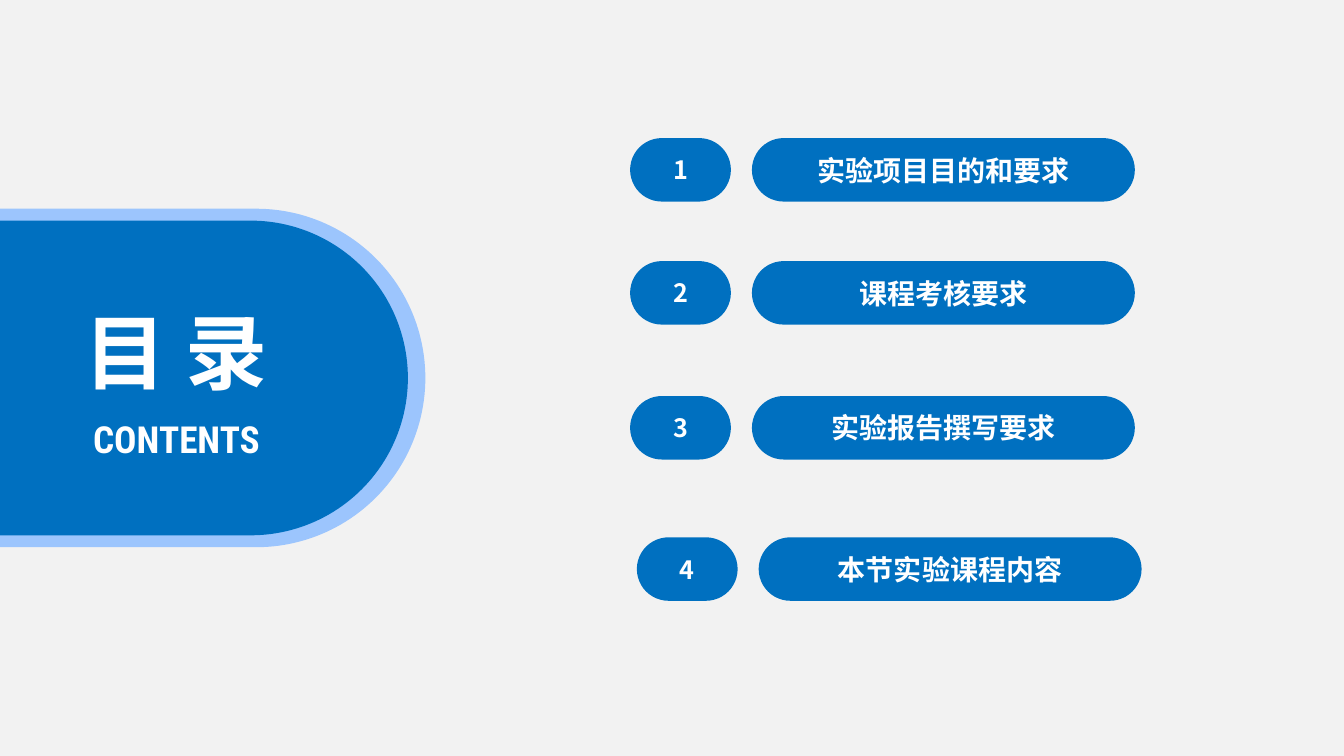
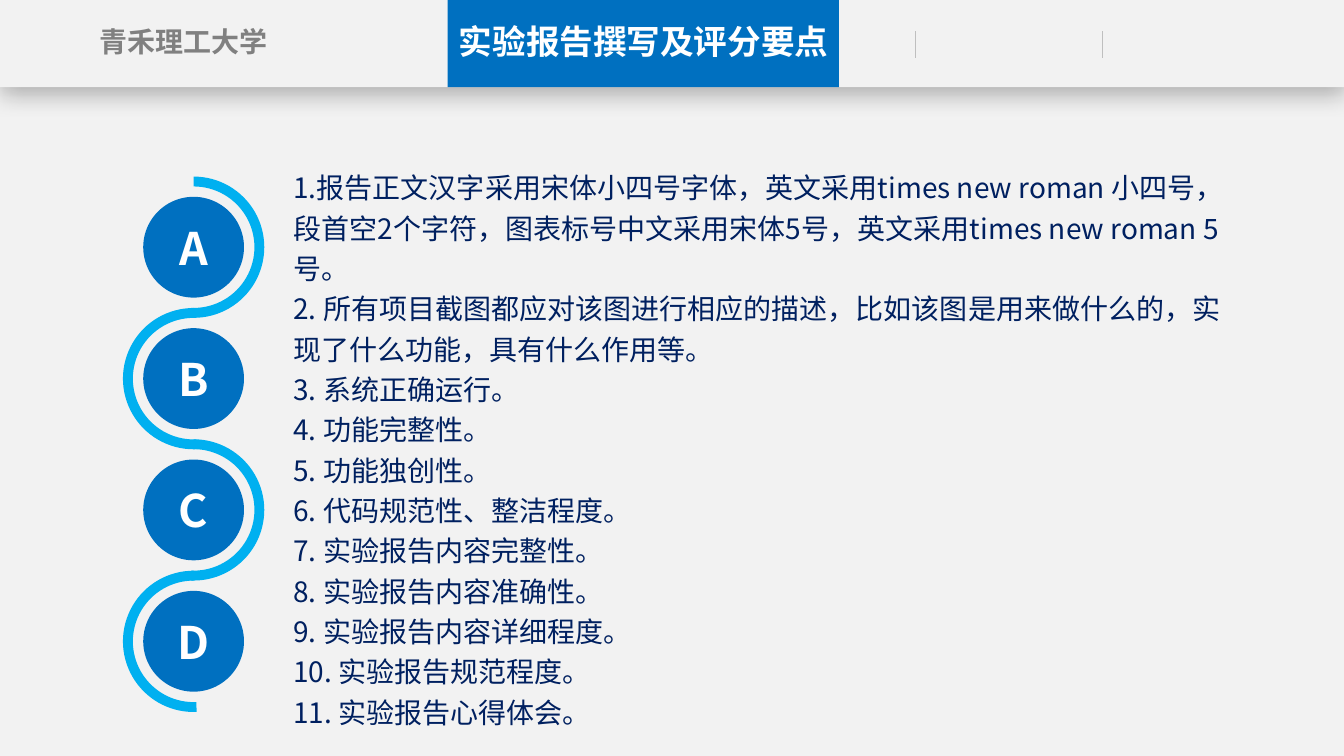
from lxml import etree
from pptx import Presentation
from pptx.dml.color import RGBColor
from pptx.enum.shapes import MSO_CONNECTOR, MSO_SHAPE
from pptx.enum.text import MSO_ANCHOR, MSO_AUTO_SIZE, PP_ALIGN
from pptx.oxml.ns import qn
from pptx.util import Cm, Pt

PILL = MSO_SHAPE.ROUNDED_RECTANGLE
RECTANGLE = MSO_SHAPE.RECTANGLE
OVAL = MSO_SHAPE.OVAL
ARC = MSO_SHAPE.BLOCK_ARC
STRAIGHT = MSO_CONNECTOR.STRAIGHT
CENTER = PP_ALIGN.CENTER
LEFT = PP_ALIGN.LEFT
MIDDLE = MSO_ANCHOR.MIDDLE
TOP = MSO_ANCHOR.TOP
NO_AUTOFIT = MSO_AUTO_SIZE.NONE

SLIDE_WIDTH, SLIDE_HEIGHT = 33.87, 19.05
TITLE_ONLY, TITLE_AND_CONTENT = 5, 1
BLUE, PALE_BLUE, SKY, NAVY = "0070C0", "9CC5FD", "00B0F0", "002060"
WHITE, PAPER, GRAY, RULE_GRAY = "FFFFFF", "F2F2F2", "808080", "BFBFBF"
CJK_FONT, LATIN_FONT = "Noto Sans CJK SC", "Roboto Condensed"

LABEL_FRAME = {"word_wrap": True, "auto_size": NO_AUTOFIT, "vertical_anchor": MIDDLE}
LINE_FRAME = LABEL_FRAME | {"word_wrap": False}
HEADER_FRAME = LABEL_FRAME | {"margin_left": 0, "margin_right": 0}
BODY_FRAME = LABEL_FRAME | {"vertical_anchor": TOP}
CENTERED = {"alignment": CENTER}
BODY_PARAGRAPH = {
    "alignment": LEFT, "level": 1, "line_spacing": Pt(28.8),
    "space_before": Pt(0), "space_after": Pt(0),
}

CONTENTS = [
    (15.88, 3.48, "实验项目目的和要求"),
    (15.88, 6.58, "课程考核要求"),
    (15.88, 9.98, "实验报告撰写要求"),
    (16.05, 13.54, "本节实验课程内容"),
]
REQUIREMENTS = [
    "1.报告正文汉字采用宋体小四号字体，英文采用times new roman 小四号，"
    "段首空2个字符，图表标号中文采用宋体5号，英文采用times new roman 5号。",
    "2. 所有项目截图都应对该图进行相应的描述，比如该图是用来做什么的，"
    "实现了什么功能，具有什么作用等。",
    "3. 系统正确运行。",
    "4. 功能完整性。",
    "5. 功能独创性。",
    "6. 代码规范性、整洁程度。",
    "7. 实验报告内容完整性。",
    "8. 实验报告内容准确性。",
    "9. 实验报告内容详细程度。",
    "10. 实验报告规范程度。",
    "11. 实验报告心得体会。",
]


def color(hex_value):
    """Turn a hex string into a colour."""
    return RGBColor.from_string(hex_value)


def apply_format(target, values):
    """Set every attribute named in a dict of format values."""
    for name, value in values.items():
        setattr(target, name, value)


def write(shape, lines, size, hex_value, bold=True, font=CJK_FONT,
          frame=LABEL_FRAME, layout=CENTERED):
    """Fill a shape with formatted paragraphs."""
    text_frame = shape.text_frame
    text_frame.text = "\n".join(lines)
    apply_format(text_frame, frame)
    for paragraph in text_frame.paragraphs:
        apply_format(paragraph, layout)
        for run in paragraph.runs:
            apply_format(run.font, {"size": Pt(size), "bold": bold, "name": font})
            run.font.color.rgb = color(hex_value)
            east_asian = etree.SubElement(run.font._element, qn("a:ea"))
            east_asian.set("typeface", font)


def place(shape, left, top, width, height):
    """Move and size a shape in centimetres, in front of the others."""
    box = {"left": left, "top": top, "width": width, "height": height}
    apply_format(shape, {name: Cm(value) for name, value in box.items()})
    shape.element.getparent().append(shape.element)


def add_block(slide, kind, box, fill, adjustments=()):
    """Add a flat filled preset shape."""
    shape = slide.shapes.add_shape(kind, *map(Cm, box))
    shape.shadow.inherit = False
    shape.fill.solid()
    shape.fill.fore_color.rgb = color(fill)
    shape.line.fill.background()
    for index, value in enumerate(adjustments):
        shape.adjustments[index] = value
    return shape


def add_soft_shadow(shape):
    """Cast a soft black shadow below a shape."""
    effects = shape.element.spPr.find(qn("a:effectLst"))
    shadow = etree.SubElement(effects, qn("a:outerShdw"), blurRad=str(Pt(18)),
                              dist=str(Pt(4)), dir="5400000", algn="t", rotWithShape="0")
    black = etree.SubElement(shadow, qn("a:srgbClr"), val="000000")
    etree.SubElement(black, qn("a:alpha"), val="29000")


def add_divider(slide, x, top, height):
    """Add a thin vertical rule."""
    line = slide.shapes.add_connector(STRAIGHT, Cm(x), Cm(top), Cm(x), Cm(top + height))
    line.line.color.rgb = color(RULE_GRAY)
    line.line.width = Pt(0.5)
    etree.SubElement(line.element.spPr, qn("a:effectLst"))


def add_contents_badge(slide, left, top, width, height):
    """Draw the rounded badge that carries the contents title."""
    add_block(slide, PILL, (left, top, width, height), PALE_BLUE, [0.5])
    add_block(slide, PILL, (left + 0.66, top + 0.3, width - 1.1, height - 0.6), BLUE, [0.5])
    caption = slide.shapes.add_textbox(Cm(left + 6.56), Cm(top + 5.1), Cm(5.74), Cm(1.4))
    write(caption, ["CONTENTS"], 26.6, WHITE, font=LATIN_FONT, frame=LINE_FRAME)
    title = slide.shapes.title
    place(title, left + 6.76, top + 2.18, 5.3, 2.77)
    write(title, ["目 录"], 58.6, WHITE, frame=LINE_FRAME)


def add_contents_row(slide, left, top, number, label):
    """Draw a numbered pill and its topic pill."""
    for offset, width, text, size in ((0, 2.54, str(number), 18), (3.07, 9.65, label, 20)):
        pill = add_block(slide, PILL, (left + offset, top, width, 1.6), BLUE, [0.5])
        write(pill, [text], size, WHITE)


def add_header(slide, title_text, height):
    """Draw the top band with its school name, rules and title tab."""
    add_soft_shadow(add_block(slide, RECTANGLE, (0, 0, SLIDE_WIDTH, height), PAPER))
    for x in (23.06, 27.79):
        add_divider(slide, x, 0.79, 0.68)
    school = slide.shapes.add_textbox(Cm(1.88), Cm(0.48), Cm(5.49), Cm(1.12))
    write(school, ["青禾理工大学"], 20, GRAY, frame=HEADER_FRAME)
    add_block(slide, RECTANGLE, (11.28, 0, 9.86, height), BLUE)
    title = slide.shapes.title
    place(title, 11.56, 0.38, 9.32, 1.3)
    write(title, [title_text], 24, WHITE, frame=HEADER_FRAME)


def add_letter_chain(slide, left, top, letters):
    """Draw lettered discs wound by alternating half rings."""
    pitch, ring, disc = 3.31, 3.56, 2.54
    inset = (ring - disc) / 2
    sides = ((90, [108, 1.5, 0.07]), (270, [106.5, 0, 0.07]))
    for index, letter in enumerate(letters):
        y = top + index * pitch
        rotation, adjustments = sides[index % 2]
        arc = add_block(slide, ARC, (left, y, ring, ring), SKY, adjustments)
        arc.rotation = rotation
        circle = add_block(slide, OVAL, (left + inset, y + inset, disc, disc), BLUE)
        write(circle, [letter], 32, WHITE)


def add_requirements(slide, left, top, width, height):
    """Place the requirement list in the body placeholder."""
    body = slide.placeholders[1]
    place(body, left, top, width, height)
    write(body, REQUIREMENTS, 20, NAVY, bold=False, frame=BODY_FRAME, layout=BODY_PARAGRAPH)
    for paragraph in body.text_frame.paragraphs:
        properties = paragraph._p.get_or_add_pPr()
        properties.set("marL", str(Cm(1.27)))
        properties.set("indent", "0")
        etree.SubElement(properties, qn("a:buNone"))


def build_contents(presentation):
    """Build the contents slide."""
    slide = presentation.slides.add_slide(presentation.slide_layouts[TITLE_ONLY])
    add_contents_badge(slide, -4.98, 5.26, 15.7, 8.53)
    for number, (left, top, label) in enumerate(CONTENTS, 1):
        add_contents_row(slide, left, top, number, label)


def build_requirements(presentation):
    """Build the report requirements slide."""
    slide = presentation.slides.add_slide(presentation.slide_layouts[TITLE_AND_CONTENT])
    add_letter_chain(slide, 3.1, 4.45, "ABCD")
    add_header(slide, "实验报告撰写及评分要点", 2.2)
    add_requirements(slide, 5.87, 4.01, 25.5, 14.53)


def main():
    """Create and save the presentation."""
    presentation = Presentation()
    presentation.slide_width = Cm(SLIDE_WIDTH)
    presentation.slide_height = Cm(SLIDE_HEIGHT)
    background = presentation.slide_master.background.fill
    background.solid()
    background.fore_color.rgb = color(PAPER)
    build_contents(presentation)
    build_requirements(presentation)
    presentation.save("out.pptx")


if __name__ == "__main__":
    main()
